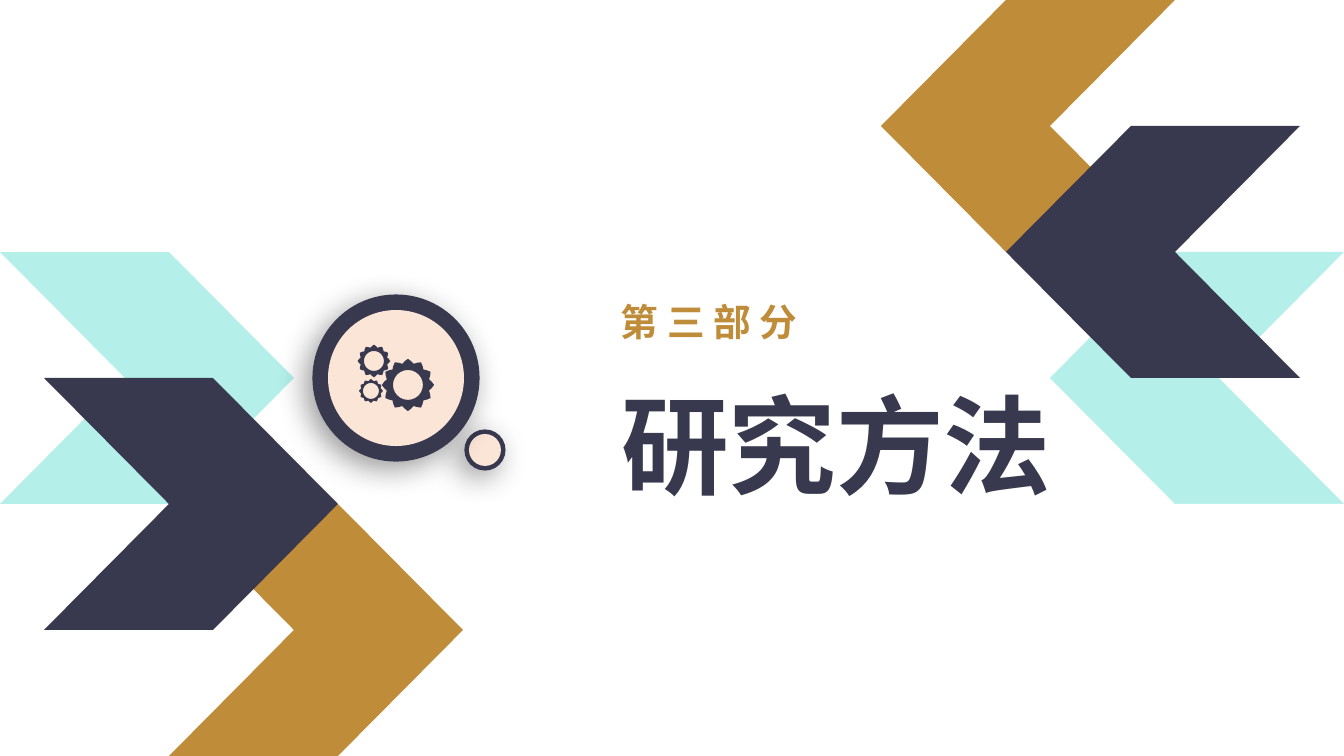
import math

import lxml.etree
import pptx
import pptx.dml.color
import pptx.enum.shapes
import pptx.enum.text
import pptx.oxml
import pptx.oxml.ns
import pptx.util

PX = 9071.43  # EMU per px
WIDE, HIGH = 1344, 756
NAVY, GOLD, MINT, CREAM, WHITE = "38384F", "BF8C39", "B4EFE9", "FBE5D6", "FFFFFF"
FONT = "Noto Sans CJK SC"

deck = pptx.Presentation()
deck.slide_width, deck.slide_height = round(WIDE * PX), round(HIGH * PX)
slide = deck.slides.add_slide(deck.slide_layouts[5])
shapes = slide.shapes


def paint(shape, color):
    """Give the shape a flat fill without line or shadow."""
    shape.fill.solid()
    shape.fill.fore_color.rgb = pptx.dml.color.RGBColor.from_string(color)
    shape.line.fill.background()
    shape.shadow.inherit = False


def outline(rings, color):
    """Draw closed rings of px points as one shape."""
    rings = [[(x * PX, y * PX) for x, y in ring] for ring in rings]
    pen = shapes.build_freeform(*rings[0][0], scale=1.0)
    for ring in rings:
        if ring is not rings[0]:
            pen.move_to(*ring[0])
        pen.add_line_segments(ring[1:], close=True)
    paint(pen.convert_to_shape(), color)


# Chevrons: the right set is the left set turned by half a circle
arrow = [(0, 0), (169, 0), (294, 126), (169, 252), (0, 252), (125, 126)]
band = [(0, 252, MINT), (169, 504, GOLD), (0, 0, WHITE), (44, 378, NAVY)]
for turn, places in ((True, band), (False, [(0, 504, WHITE)] + band)):
    for left, top, color in places:
        ring = [(left + x, top + y) for x, y in arrow]
        if turn:
            ring = [(WIDE - x, HIGH - y) for x, y in ring]
        outline([ring], color)

# Headings
label = shapes.add_textbox(0, 0, 0, 0)
title = shapes.title
for box, words, top, height, size, color in (
    (label, "第 三 部 分", 294, 55, 26.9, GOLD),
    (title, "研究方法", 374, 139, 76.8, NAVY),
):
    place = {"left": 611, "top": top, "width": 578, "height": height}
    if box is label:
        place["width"] = 311
    for name, value in place.items():
        setattr(box, name, round(value * PX))
    frame = box.text_frame
    look = {
        "word_wrap": True,
        "auto_size": pptx.enum.text.MSO_AUTO_SIZE.NONE,
        "vertical_anchor": pptx.enum.text.MSO_ANCHOR.MIDDLE,
    }
    for name, value in look.items():
        setattr(frame, name, value)
    line = frame.paragraphs[0]
    line.alignment = pptx.enum.text.PP_ALIGN.LEFT
    run = line.add_run()
    run.text = words
    for name, value in {"name": FONT, "size": pptx.util.Pt(size), "bold": True}.items():
        setattr(run.font, name, value)
    run.font.color.rgb = pptx.dml.color.RGBColor.from_string(color)
    asian = lxml.etree.SubElement(run.font._element, pptx.oxml.ns.qn("a:ea"))
    asian.set("typeface", FONT)

# Badges: a navy disc with a shadow under a cream disc
glow = (
    f'<a:outerShdw {pptx.oxml.ns.nsdecls("a")} blurRad="279400" dist="88900" '
    'dir="8100000" algn="tr" rotWithShape="0"><a:srgbClr val="000000">'
    '<a:alpha val="40000"/></a:srgbClr></a:outerShdw>'
)
for mid, down, outer, inner in ((485, 450, 19, 16), (396, 378, 82, 68)):
    for radius, color in ((outer, NAVY), (inner, CREAM)):
        box = (mid - radius, down - radius, 2 * radius, 2 * radius)
        disc = shapes.add_shape(
            pptx.enum.shapes.MSO_SHAPE.OVAL, *(round(n * PX) for n in box))
        paint(disc, color)
        if color == NAVY:
            disc.line.color.rgb = pptx.dml.color.RGBColor.from_string(NAVY)
            disc.line.width = pptx.util.Pt(2.25)
            effect = disc._element.spPr.find(pptx.oxml.ns.qn("a:effectLst"))
            effect.append(pptx.oxml.parse_xml(glow))

# Gears: a toothed rim around a round hole
TEETH = 12
STEPS = 4 * TEETH
for mid, down, rim, hole in ((408, 385, 24, 15), (374, 361, 15, 10), (371, 391, 11, 8)):
    rings = [[], []]
    for step in range(STEPS):
        angle = math.tau * step / STEPS
        wave = rim * (1 + 0.09 * math.cos(TEETH * angle))
        for ring, radius in zip(rings, (wave, hole)):
            ring.append((mid + radius * math.cos(angle), down + radius * math.sin(angle)))
    rings[1] = rings[1][::2]
    outline(rings, NAVY)

deck.save("out.pptx")
